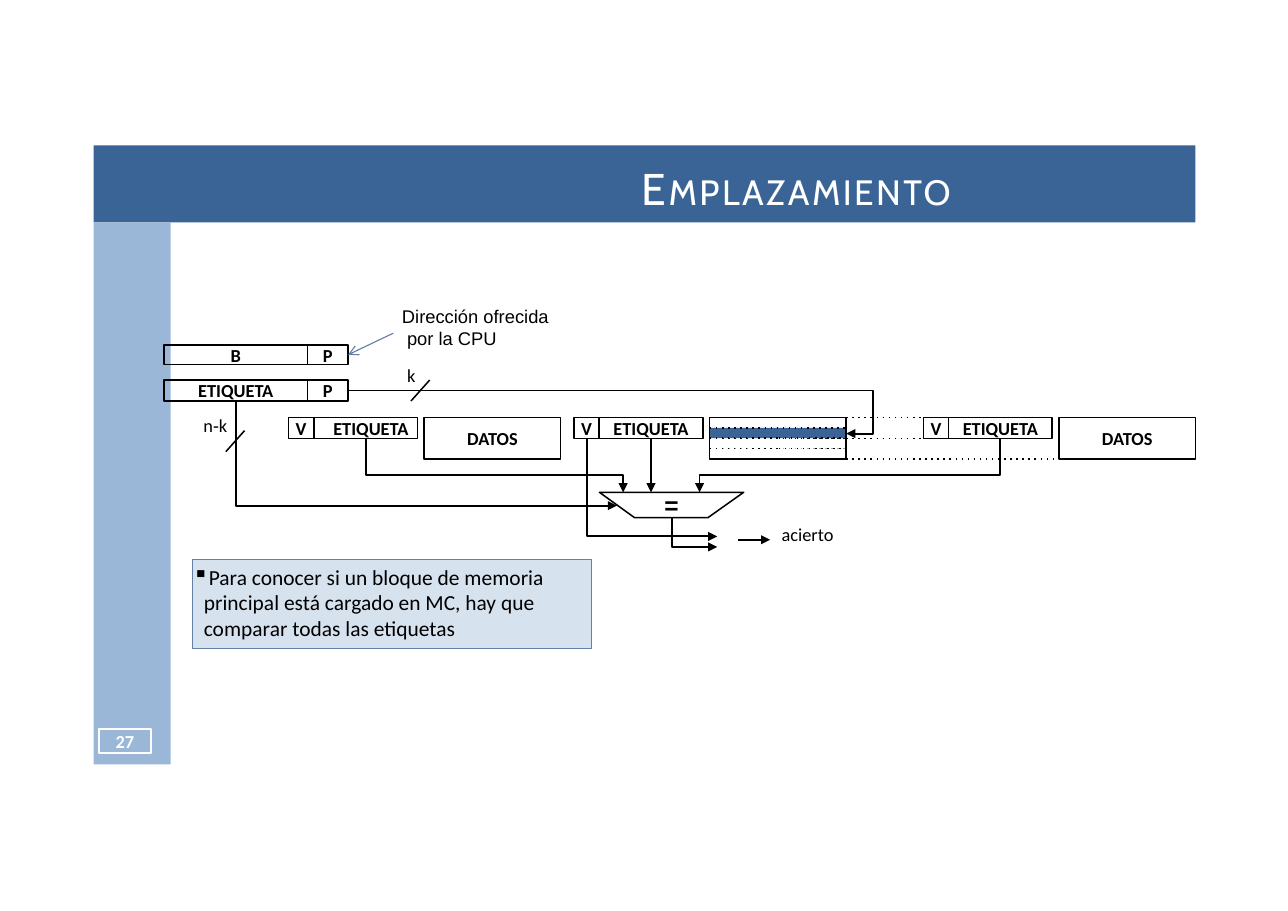
from lxml.etree import SubElement
from pptx import Presentation
from pptx.dml.color import RGBColor
from pptx.enum.dml import MSO_LINE
from pptx.enum.shapes import MSO_CONNECTOR, MSO_SHAPE
from pptx.enum.text import MSO_ANCHOR, PP_ALIGN
from pptx.oxml.ns import qn
from pptx.util import Pt

BLACK = RGBColor(0x00, 0x00, 0x00)
WHITE = RGBColor(0xFF, 0xFF, 0xFF)
BLUE = RGBColor(0x39, 0x64, 0x95)
SIDE_BLUE = RGBColor(0x9A, 0xB7, 0xD8)
PALE_BLUE = RGBColor(0xD7, 0xE2, 0xEF)
GREY_BLUE = RGBColor(0x66, 0x7F, 0xA5)

prs = Presentation()
prs.slide_width, prs.slide_height = Pt(841.68), Pt(595.44)
slide = prs.slides.add_slide(prs.slide_layouts[5])
shapes = slide.shapes


def stroke(shape, color=BLACK, width=1, arrow=None, dotted=False):
    """Style an outline or line, with an optional arrowhead, and drop the shadow."""
    line = shape.line
    if color is None:
        line.fill.background()
    else:
        line.color.rgb = color
        line.width = Pt(width)
    properties = shape._element.spPr
    ln = properties.find(qn("a:ln"))
    if dotted:
        line.dash_style = MSO_LINE.ROUND_DOT
        ln.find(qn("a:prstDash")).set("val", "dot")
    if arrow:
        SubElement(ln, qn("a:tailEnd"), type=arrow)
    SubElement(properties, qn("a:effectLst"))


def box(x, y, w, h, text="", fill=None, line=BLACK, width=1, color=BLACK, dotted=False):
    """Add a rectangle with centred bold text."""
    shape = shapes.add_shape(MSO_SHAPE.RECTANGLE, Pt(x), Pt(y), Pt(w), Pt(h))
    stroke(shape, line, width, dotted=dotted)
    if fill is None:
        shape.fill.background()
    else:
        shape.fill.solid()
        shape.fill.fore_color.rgb = fill
    frame = shape.text_frame
    frame.margin_left = frame.margin_right = frame.margin_top = frame.margin_bottom = 0
    frame.vertical_anchor = MSO_ANCHOR.MIDDLE
    if text:
        frame.text = text
        frame.paragraphs[0].alignment = PP_ALIGN.CENTER
        font = frame.paragraphs[0].runs[0].font
        font.name, font.size, font.bold = "Calibri", Pt(12), True
        font.color.rgb = color
    return shape


# Header, sidebar and page number
header = box(61.2, 95, 720, 50.4, fill=BLUE, line=None)
sidebar = box(61.2, 145.4, 50.4, 354.3, fill=SIDE_BLUE, line=None)
page_number = box(64.8, 476.6, 33.8, 15.5, "27", line=WHITE, color=WHITE)

title = shapes.title
title.left, title.top, title.width, title.height = Pt(419), Pt(104.4), Pt(345), Pt(36.7)
heading = title.text_frame
heading.margin_left = heading.margin_right = heading.margin_bottom = 0
heading.margin_top = Pt(0.7)
heading.vertical_anchor = MSO_ANCHOR.TOP
heading.paragraphs[0].alignment = PP_ALIGN.LEFT
for letters, size, spacing in (("E", 29, 190), ("MPLAZAMIENTO", 23, 160)):
    run = heading.paragraphs[0].add_run()
    run.text = letters
    run.font.name, run.font.size = "Cabin", Pt(size)
    run.font.color.rgb = WHITE
    run._r.get_or_add_rPr().set("spc", str(spacing))
shapes._spTree.append(title._element)

# Address offered by the CPU, as block and as tag
ADDRESS_X, FIELD_W, OFFSET_W = 107.3, 93.6, 26.6
OFFSET_X = ADDRESS_X + FIELD_W
box(ADDRESS_X, 225.4, FIELD_W, 13, "B")
block_offset = box(OFFSET_X, 225.4, OFFSET_W, 13, "P")
box(ADDRESS_X, 248.4, FIELD_W, 13.7, "ETIQUETA")
box(OFFSET_X, 248.4, OFFSET_W, 13.7, "P")

# Cache lines: valid bit, tag and data
LINE_Y, TAG_H, DATA_H = 273, 13.6, 27
VALID_W, TAG_W, DATA_W, DATA_DX = 16.5, 67.7, 89.3, 88.6
LINES_X = (188.6, 375.1, 603.4)
TAG_BOTTOM = LINE_Y + TAG_H
tags = []
for x, data, indent in zip(LINES_X, ("DATOS", "", "DATOS"), (7, 0, 0)):
    box(x, LINE_Y, VALID_W, TAG_H, "V")
    tag = box(x + VALID_W, LINE_Y, TAG_W, TAG_H, "ETIQUETA")
    tag.text_frame.margin_left = Pt(indent)
    tags.append(tag)
    if not data:
        word_h = DATA_H / 4
        for row, fill in ((3, WHITE), (2, WHITE), (1, BLUE)):
            box(x + DATA_DX, LINE_Y + row * word_h, DATA_W, word_h, fill=fill, dotted=True)
    box(x + DATA_DX, LINE_Y, DATA_W, DATA_H, data)

# Comparator
COMPARE_TOP, COMPARE_BOTTOM = 321.8, 338.4
builder = shapes.build_freeform(Pt(391.7), Pt(COMPARE_TOP), scale=1.0)
builder.add_line_segments([(Pt(x), Pt(y)) for x, y in (
    (414.7, COMPARE_BOTTOM), (462.6, COMPARE_BOTTOM), (486, COMPARE_TOP))])
comparator = builder.convert_to_shape()
comparator.fill.background()
stroke(comparator)
equals = comparator.text_frame
equals.margin_top = equals.margin_bottom = 0
equals.vertical_anchor = MSO_ANCHOR.MIDDLE
equals.text = "="
equals.paragraphs[0].alignment = PP_ALIGN.CENTER
equal_font = equals.paragraphs[0].runs[0].font
equal_font.name, equal_font.size, equal_font.bold = "Arial", Pt(16), True
equal_font.color.rgb = BLACK

# Bent wires
first_tag_x, middle_tag_x, last_tag_x = (x + VALID_W + TAG_W / 2 for x in LINES_X)
address_tag_x = ADDRESS_X + FIELD_W / 2
valid_x = LINES_X[1] + VALID_W / 2
data_right = LINES_X[1] + DATA_DX + DATA_W
BUS_Y, HIT_X = 310.3, 468.7
wires = (
    ((address_tag_x, 262.1), (address_tag_x, 330.5), (403.2, 330.5)),
    ((first_tag_x, TAG_BOTTOM), (first_tag_x, BUS_Y), (407.2, BUS_Y), (407.2, COMPARE_TOP)),
    ((last_tag_x, TAG_BOTTOM), (last_tag_x, BUS_Y), (457.2, BUS_Y), (457.2, COMPARE_TOP)),
    ((valid_x, TAG_BOTTOM), (valid_x, 350.6), (HIT_X, 350.6)),
    ((439, COMPARE_BOTTOM), (439, 357.5), (HIT_X, 357.5)),
    ((OFFSET_X + OFFSET_W, 255.2), (570.6, 255.2), (570.6, 283.4), (data_right, 283.4)),
)
for start, *bends in wires:
    builder = shapes.build_freeform(Pt(start[0]), Pt(start[1]), scale=1.0)
    builder.add_line_segments([(Pt(x), Pt(y)) for x, y in bends], close=False)
    wire = builder.convert_to_shape()
    wire.fill.background()
    stroke(wire, width=1.2, arrow="triangle")

# Straight lines: bus slashes, hit arrow, omitted cache lines, tag and address arrows
straight_lines = (
    ((280.8, 248.4, 268.6, 262.1), {}),
    ((159.8, 281.5, 147.6, 295.2), {}),
    ((482.4, 352.8, 503.3, 352.8), {"width": 1.2, "arrow": "triangle"}),
    ((data_right, LINE_Y, LINES_X[2], LINE_Y), {"dotted": True}),
    ((data_right, TAG_BOTTOM, LINES_X[2], TAG_BOTTOM), {"dotted": True}),
    ((data_right, LINE_Y + DATA_H, LINES_X[2] + DATA_DX, LINE_Y + DATA_H), {"dotted": True}),
    ((middle_tag_x, TAG_BOTTOM, middle_tag_x, COMPARE_TOP), {"width": 1.2, "arrow": "triangle"}),
    ((257, 217.8, 227.5, 231.9), {"color": GREY_BLUE, "width": 0.75, "arrow": "arrow"}),
)
connectors = []
for ends, style in straight_lines:
    connector = shapes.add_connector(MSO_CONNECTOR.STRAIGHT, *map(Pt, ends))
    stroke(connector, **style)
    connectors.append(connector)
tag_arrow, address_arrow = connectors[-2:]
tag_arrow.begin_connect(tags[1], 2)
address_arrow.end_connect(block_offset, 3)

# Labels
for x, y, w, h, text, face in (
    (266, 238.2, 12, 15, "k", "Calibri"),
    (133, 270.8, 22, 15, "n‐k", "Calibri"),
    (510.8, 342.1, 50, 15, "acierto", "Calibri"),
    (262.7, 199.5, 110, 28, "Dirección ofrecida\n por la CPU", "Arial"),
):
    label = shapes.add_textbox(Pt(x), Pt(y), Pt(w), Pt(h)).text_frame
    label.margin_left = label.margin_right = label.margin_top = label.margin_bottom = 0
    label.word_wrap = True
    label.text = text
    for paragraph in label.paragraphs:
        font = paragraph.runs[0].font
        font.name, font.size = face, Pt(12)
        font.color.rgb = BLACK

# Conclusion
conclusion = box(126, 365.8, 260.6, 58.3, "Para conocer si un bloque de memoria principal está "
                 "cargado en MC, hay que comparar todas las etiquetas",
                 fill=PALE_BLUE, line=GREY_BLUE, width=0.75).text_frame
conclusion.vertical_anchor = MSO_ANCHOR.TOP
conclusion.margin_top = Pt(2.6)
sentence = conclusion.paragraphs[0]
sentence.alignment = PP_ALIGN.LEFT
sentence.runs[0].font.size = Pt(14)
sentence.runs[0].font.bold = False
bullet = sentence._p.get_or_add_pPr()
bullet.set("marL", str(Pt(7.2)))
bullet.set("indent", str(-Pt(7.2)))
SubElement(bullet, qn("a:buChar"), char="▪")

prs.save("out.pptx")
